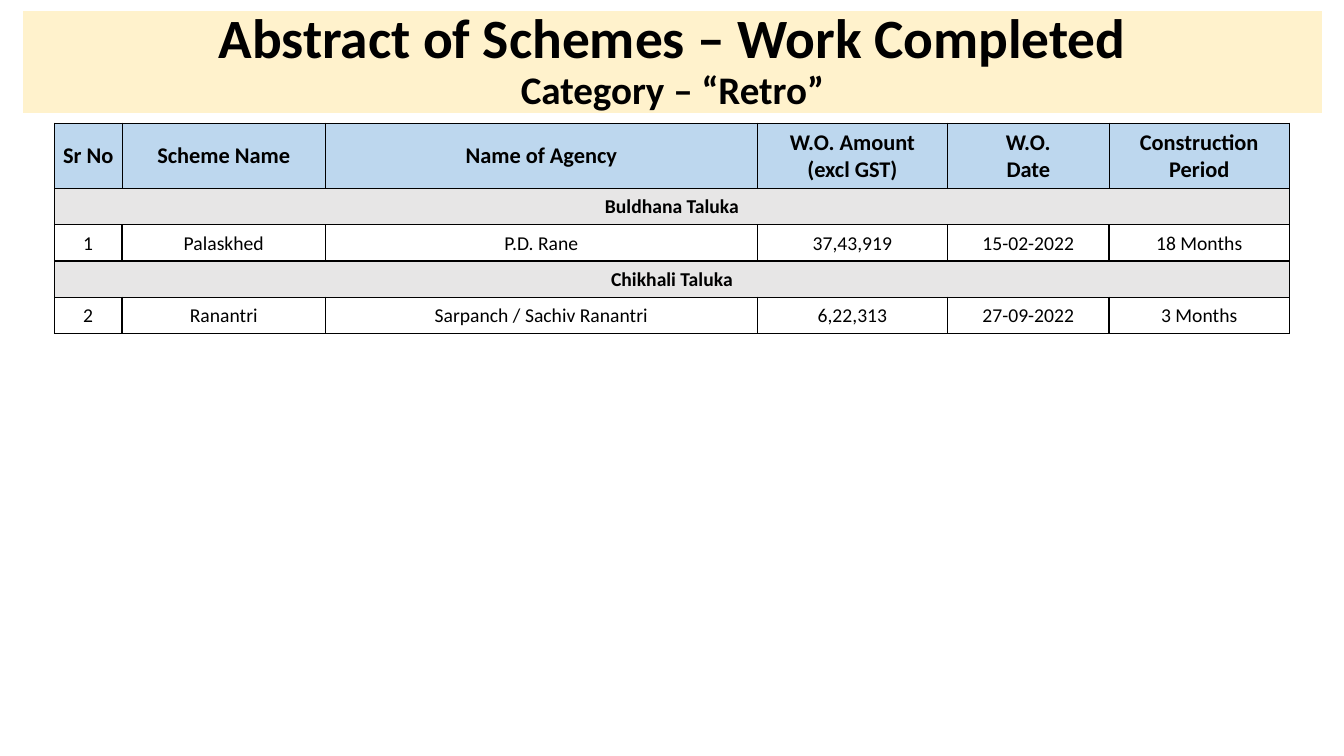
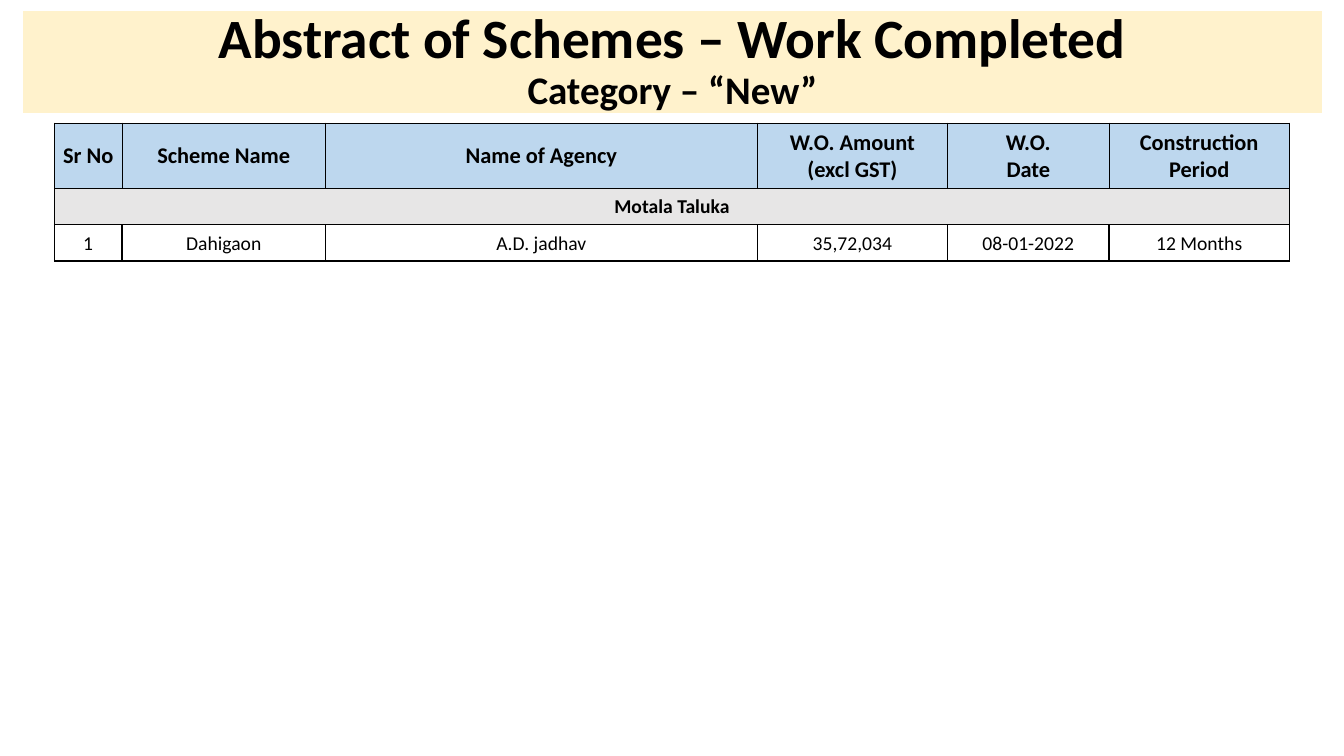
"""Builds the abstract of completed schemes, one slide per category."""
from dataclasses import dataclass

from lxml.etree import SubElement
from pptx import Presentation
from pptx.dml.color import RGBColor
from pptx.enum.shapes import MSO_SHAPE
from pptx.enum.text import MSO_ANCHOR, PP_ALIGN
from pptx.oxml.ns import qn
from pptx.slide import Slide
from pptx.table import Table, _Cell
from pptx.text.text import TextFrame
from pptx.util import Inches, Pt

FONT = "Calibri"
BLACK = "000000"
WHITE = "FFFFFF"
TITLE_FILL = "FFF2CC"
HEADER_FILL = "BDD7EE"
TALUKA_FILL = "E7E6E6"

TITLE = "Abstract of Schemes – Work Completed"
TITLE_SIZES = (39.6, 27.9)
HEADERS = (
    "Sr No",
    "Scheme Name",
    "Name of Agency",
    "W.O. Amount\n(excl GST)",
    "W.O.\nDate",
    "Construction\nPeriod",
)
COLUMN_WIDTHS = (0.67, 2.02, 4.28, 1.89, 1.6, 1.79)
TABLE_LEFT = 0.54
HEADER_TOP = 1.22
HEADER_HEIGHT = 0.65
ROW_HEIGHT = 0.36


@dataclass(frozen=True)
class Scheme:
    """One completed scheme."""

    name: str
    agency: str
    amount: str
    date: str
    period: str


@dataclass(frozen=True)
class Taluka:
    """A taluka and its schemes."""

    name: str
    schemes: tuple[Scheme, ...]


@dataclass(frozen=True)
class Category:
    """The content of one slide."""

    name: str
    talukas: tuple[Taluka, ...]


@dataclass(frozen=True)
class CellStyle:
    """The look of a table cell."""

    fill: str
    size: float
    bold: bool
    border: float


HEADER_STYLE = CellStyle(HEADER_FILL, 16, True, 0.5)
TALUKA_STYLE = CellStyle(TALUKA_FILL, 14, True, 1)
SCHEME_STYLE = CellStyle(WHITE, 14, False, 1)

CATEGORIES = (
    Category("Retro", (
        Taluka("Buldhana Taluka", (
            Scheme("Palaskhed", "P.D. Rane", "37,43,919", "15-02-2022", "18 Months"),
        )),
        Taluka("Chikhali Taluka", (
            Scheme("Ranantri", "Sarpanch / Sachiv Ranantri", "6,22,313", "27-09-2022", "3 Months"),
        )),
    )),
    Category("New", (
        Taluka("Motala Taluka", (
            Scheme("Dahigaon", "A.D. jadhav", "35,72,034", "08-01-2022", "12 Months"),
        )),
    )),
)


def color(value: str) -> RGBColor:
    """Turn a hex string into a colour."""
    return RGBColor.from_string(value)


def format_text(text_frame: TextFrame, sizes: tuple[float, ...], bold: bool) -> None:
    """Centre the paragraphs and format their runs, one size per paragraph."""
    for paragraph, size in zip(text_frame.paragraphs, sizes):
        paragraph.alignment = PP_ALIGN.CENTER
        for run in paragraph.runs:
            run.font.name = FONT
            run.font.size = Pt(size)
            run.font.bold = bold
            run.font.color.rgb = color(BLACK)


def add_title(slide: Slide, category: str) -> None:
    """Draw the title band."""
    band = slide.shapes.add_shape(
        MSO_SHAPE.RECTANGLE, Inches(0.23), Inches(0.11), Inches(12.88), Inches(1.01)
    )
    band.shadow.inherit = False
    band.fill.solid()
    band.fill.fore_color.rgb = color(TITLE_FILL)
    band.line.fill.background()
    text_frame = band.text_frame
    text_frame.word_wrap = True
    text_frame.vertical_anchor = MSO_ANCHOR.MIDDLE
    text_frame.text = f"{TITLE}\nCategory – “{category}”"
    format_text(text_frame, TITLE_SIZES, True)
    for paragraph in text_frame.paragraphs:
        paragraph.line_spacing = 0.9


def set_borders(cell: _Cell, width: float) -> None:
    """Draw a black line on all four sides of a cell."""
    properties = cell._tc.get_or_add_tcPr()
    for position, side in enumerate(("a:lnL", "a:lnR", "a:lnT", "a:lnB")):
        line = SubElement(properties, qn(side), w=str(Pt(width)))
        fill = SubElement(line, qn("a:solidFill"))
        SubElement(fill, qn("a:srgbClr"), val=BLACK)
        properties.insert(position, line)


def fill_row(table: Table, row: int, texts: tuple[str, ...], style: CellStyle) -> None:
    """Write and style a row; a single text spans all columns."""
    cells = list(table.rows[row].cells)
    if len(texts) == 1:
        cells[0].merge(cells[-1])
    for cell in cells:
        cell.fill.solid()
        cell.fill.fore_color.rgb = color(style.fill)
        set_borders(cell, style.border)
    for cell, text in zip(cells, texts):
        cell.margin_left = cell.margin_right = cell.margin_top = Inches(0.01)
        cell.margin_bottom = Inches(0)
        cell.vertical_anchor = MSO_ANCHOR.MIDDLE
        cell.text_frame.text = text
        format_text(cell.text_frame, (style.size,) * len(cell.text_frame.paragraphs), style.bold)


def add_grid(
    slide: Slide, top: float, row_height: float, rows: list[tuple[tuple[str, ...], CellStyle]]
) -> None:
    """Draw a table from its rows of texts and styles."""
    table = slide.shapes.add_table(
        len(rows), len(COLUMN_WIDTHS), Inches(TABLE_LEFT), Inches(top),
        Inches(sum(COLUMN_WIDTHS)), Inches(row_height * len(rows)),
    ).table
    table.first_row = table.horz_banding = False
    for column, width in zip(table.columns, COLUMN_WIDTHS):
        column.width = Inches(width)
    for index, (texts, style) in enumerate(rows):
        table.rows[index].height = Inches(row_height)
        fill_row(table, index, texts, style)


def scheme_rows(category: Category) -> list[tuple[tuple[str, ...], CellStyle]]:
    """List taluka rows and numbered scheme rows."""
    rows = []
    number = 0
    for taluka in category.talukas:
        rows.append(((taluka.name,), TALUKA_STYLE))
        for scheme in taluka.schemes:
            number += 1
            texts = (
                str(number), scheme.name, scheme.agency,
                scheme.amount, scheme.date, scheme.period,
            )
            rows.append((texts, SCHEME_STYLE))
    return rows


def main() -> None:
    """Build and save the presentation."""
    presentation = Presentation()
    presentation.slide_width = Inches(13.33)
    presentation.slide_height = Inches(7.5)
    for category in CATEGORIES:
        slide = presentation.slides.add_slide(presentation.slide_layouts[6])
        add_title(slide, category.name)
        add_grid(slide, HEADER_TOP, HEADER_HEIGHT, [(HEADERS, HEADER_STYLE)])
        add_grid(slide, HEADER_TOP + HEADER_HEIGHT, ROW_HEIGHT, scheme_rows(category))
    presentation.save("out.pptx")


if __name__ == "__main__":
    main()
